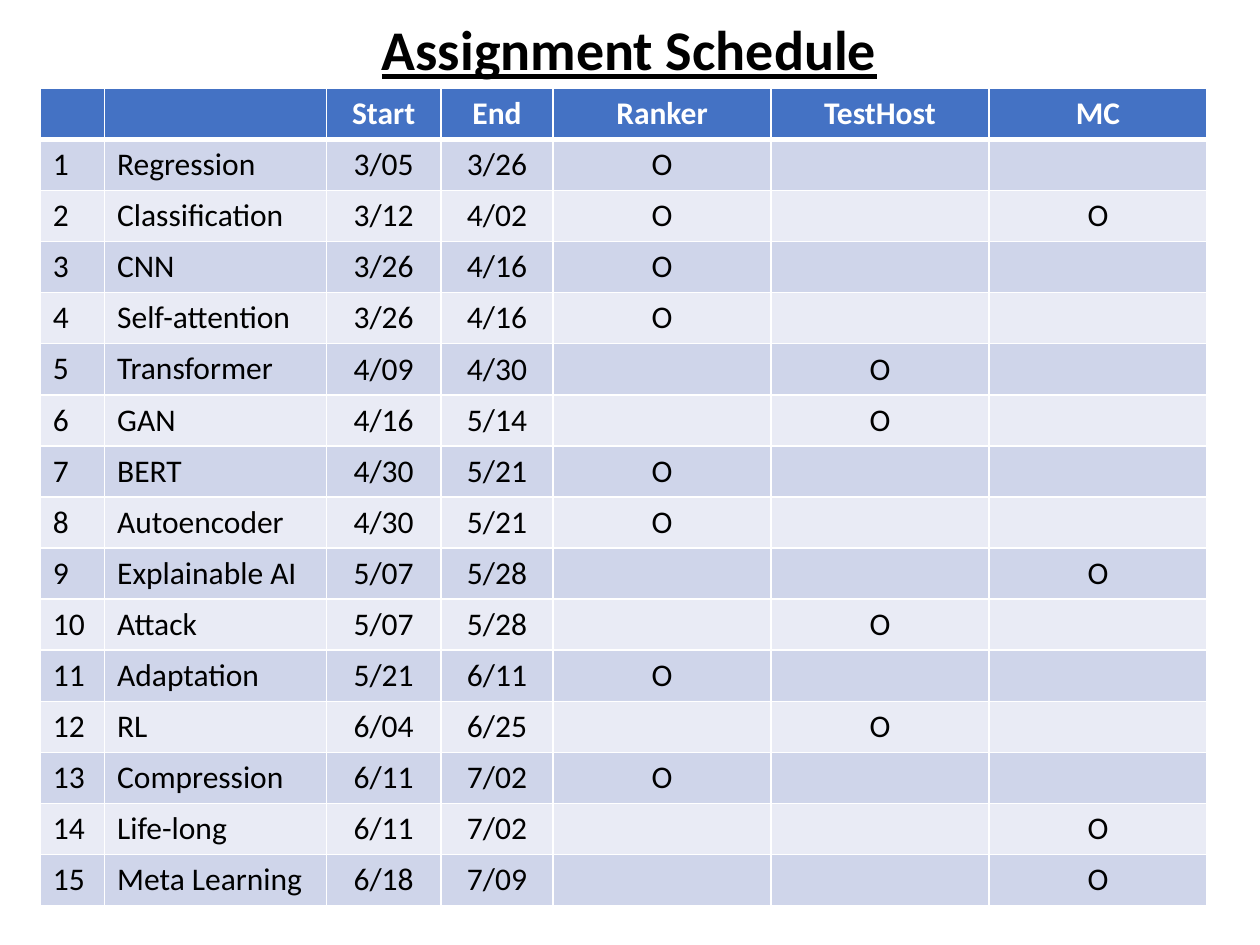
import dataclasses

import lxml.etree
import pptx
import pptx.dml.color
import pptx.enum.text
import pptx.oxml.ns
import pptx.util

Inches = pptx.util.Inches
Pt = pptx.util.Pt
ALIGN = pptx.enum.text.PP_ALIGN
ANCHOR = pptx.enum.text.MSO_ANCHOR


@dataclasses.dataclass(frozen=True)
class Theme:
    font: str = "Calibri"
    title_size: int = 32
    table_size: int = 18
    text: str = "000000"
    border: str = "FFFFFF"
    header_text: str = "FFFFFF"
    header_fill: str = "4472C4"
    bands: tuple = ("CFD5EA", "E9EBF5")


class SlideBuilder:
    def __init__(self, slide, theme):
        self.slide = slide
        self.theme = theme

    def add_text(self, paragraph, text, color, alignment, **formats):
        paragraph.alignment = alignment
        run = paragraph.add_run()
        run.text = text
        for name, value in {"name": self.theme.font, **formats}.items():
            setattr(run.font, name, value)
        run.font.color.rgb = pptx.dml.color.RGBColor.from_string(color)

    def title(self, text, left, top, width, height):
        shape = self.slide.shapes.add_textbox(*map(Inches, (left, top, width, height)))
        shape.text_frame.word_wrap = True
        self.add_text(shape.text_frame.paragraphs[0], text, self.theme.text, ALIGN.CENTER,
                      size=Pt(self.theme.title_size), bold=True, underline=True)

    def borders(self, cell, widths):
        properties = cell._tc.get_or_add_tcPr()
        qn = pptx.oxml.ns.qn
        for side, width in widths.items():
            line = lxml.etree.SubElement(properties, qn(f"a:ln{side}"), w=str(Pt(width)))
            fill = lxml.etree.SubElement(line, qn("a:solidFill"))
            lxml.etree.SubElement(fill, qn("a:srgbClr"), val=self.theme.border)

    def cell(self, cell, text, row, column):
        theme = self.theme
        header = row == 0
        # The header's thick rule is shared with the first body row
        self.borders(cell, {"L": 1, "R": 1, "T": 3 if row == 1 else 1, "B": 3 if header else 1})
        cell.fill.solid()
        fill = theme.header_fill if header else theme.bands[(row - 1) % 2]
        cell.fill.fore_color.rgb = pptx.dml.color.RGBColor.from_string(fill)
        if text:
            centered = column >= 2
            cell.vertical_anchor = ANCHOR.MIDDLE if centered else ANCHOR.TOP
            self.add_text(cell.text_frame.paragraphs[0], text,
                          theme.header_text if header else theme.text,
                          ALIGN.CENTER if centered else ALIGN.LEFT,
                          size=Pt(theme.table_size), bold=header)

    def table(self, rows, column_widths, left, top, height):
        table = self.slide.shapes.add_table(
            len(rows), len(column_widths), Inches(left), Inches(top),
            Inches(sum(column_widths)), Inches(height)).table
        for column, width in zip(table.columns, column_widths):
            column.width = Inches(width)
        for row, texts in enumerate(rows):
            for column, text in enumerate(texts):
                self.cell(table.cell(row, column), text, row, column)


# Topic, start, end and the platforms each assignment uses
PLATFORMS = ("Ranker", "TestHost", "MC")
ASSIGNMENTS = [
    ("Regression", "3/05", "3/26", {"Ranker"}),
    ("Classification", "3/12", "4/02", {"Ranker", "MC"}),
    ("CNN", "3/26", "4/16", {"Ranker"}),
    ("Self-attention", "3/26", "4/16", {"Ranker"}),
    ("Transformer", "4/09", "4/30", {"TestHost"}),
    ("GAN", "4/16", "5/14", {"TestHost"}),
    ("BERT", "4/30", "5/21", {"Ranker"}),
    ("Autoencoder", "4/30", "5/21", {"Ranker"}),
    ("Explainable AI", "5/07", "5/28", {"MC"}),
    ("Attack", "5/07", "5/28", {"TestHost"}),
    ("Adaptation", "5/21", "6/11", {"Ranker"}),
    ("RL", "6/04", "6/25", {"TestHost"}),
    ("Compression", "6/11", "7/02", {"Ranker"}),
    ("Life-long", "6/11", "7/02", {"MC"}),
    ("Meta Learning", "6/18", "7/09", {"MC"}),
]


def main():
    presentation = pptx.Presentation()
    presentation.slide_width, presentation.slide_height = Inches(10), Inches(7.5)
    slide = presentation.slides.add_slide(presentation.slide_layouts[6])
    builder = SlideBuilder(slide, Theme())

    # Title
    builder.title("Assignment Schedule", 1.16, 0.07, 7.67, 0.64)

    # Schedule table
    rows = [("", "", "Start", "End", *PLATFORMS)]
    for number, (topic, start, end, used) in enumerate(ASSIGNMENTS, 1):
        marks = ["O" if platform in used else "" for platform in PLATFORMS]
        rows.append((str(number), topic, start, end, *marks))
    builder.table(rows, [0.51, 1.76, 0.91, 0.89] + [1.73] * len(PLATFORMS), 0.32, 0.7, 6.49)

    presentation.save("out.pptx")


if __name__ == "__main__":
    main()
